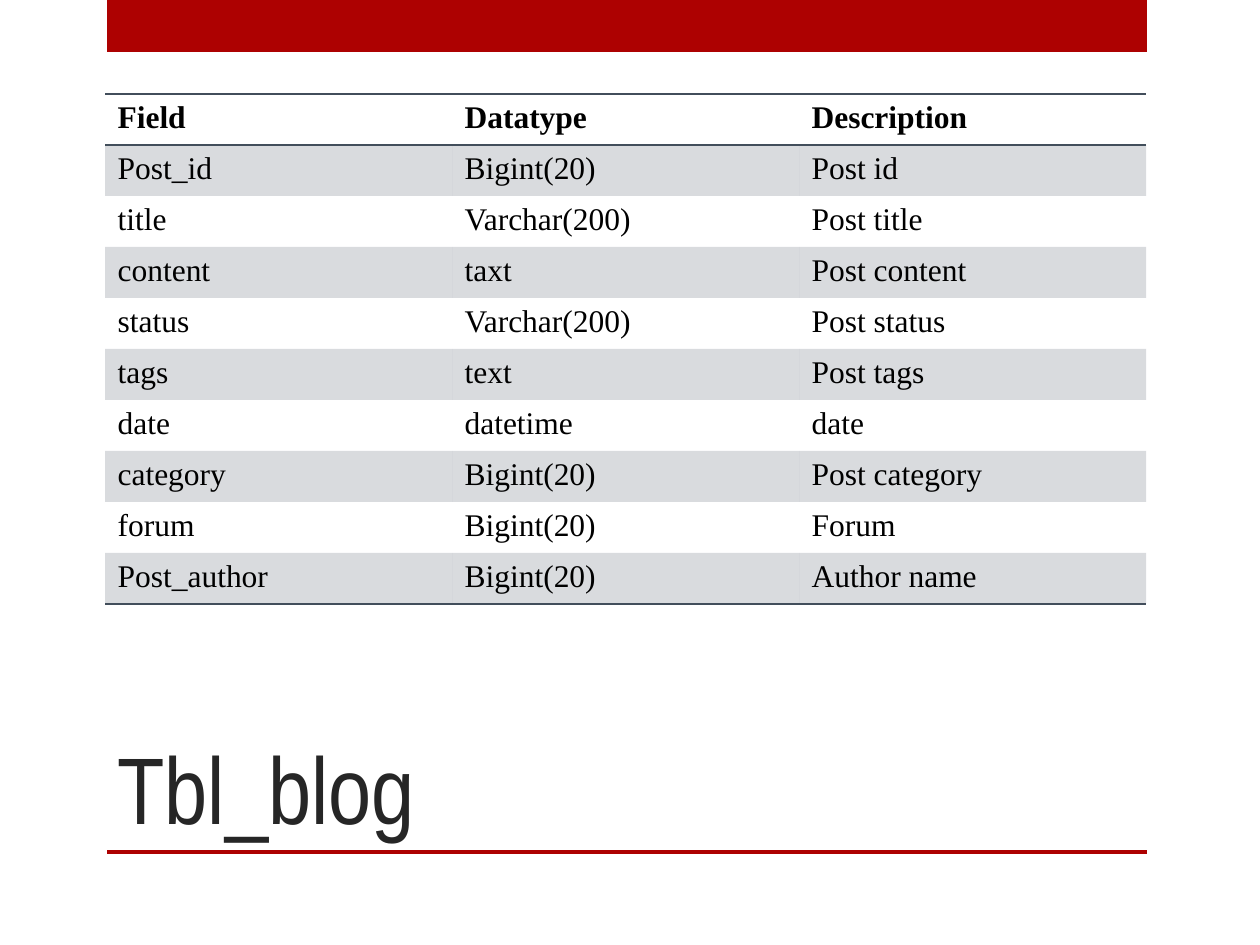
from dataclasses import dataclass

from lxml.etree import SubElement
from pptx import Presentation
from pptx.dml.color import RGBColor
from pptx.enum.shapes import MSO_SHAPE
from pptx.enum.text import MSO_ANCHOR, MSO_AUTO_SIZE, PP_ALIGN
from pptx.oxml.ns import qn
from pptx.slide import Slide
from pptx.table import _Cell
from pptx.text.text import Font
from pptx.util import Emu, Pt

PX_PER_INCH = 126
COLORS = {"accent": "AD0101", "title": "262626", "text": "000000", "slate": "424E5B"}
NO_STYLE_NO_GRID = "{2D5ABB26-0587-4C30-8999-92F81FD0307C}"
BAND_ALPHA = 20
COLUMN_WIDTH = 347
ROW_HEIGHT = 51


@dataclass(frozen=True)
class Box:
    left: int
    top: int
    width: int
    height: int

    def emu(self) -> tuple[Emu, ...]:
        return tuple(px(v) for v in (self.left, self.top, self.width, self.height))


@dataclass(frozen=True)
class Field:
    name: str
    datatype: str
    description: str


BARS = [Box(107, 0, 1040, 52), Box(107, 850, 1040, 4)]
TITLE_BOX = Box(105, 630, 935, 220)
HEADER = Field("Field", "Datatype", "Description")
FIELDS = [
    Field("Post_id", "Bigint(20)", "Post id"),
    Field("title", "Varchar(200)", "Post title"),
    Field("content", "taxt", "Post content"),
    Field("status", "Varchar(200)", "Post status"),
    Field("tags", "text", "Post tags"),
    Field("date", "datetime", "date"),
    Field("category", "Bigint(20)", "Post category"),
    Field("forum", "Bigint(20)", "Forum"),
    Field("Post_author", "Bigint(20)", "Author name"),
]


def px(value: int) -> Emu:
    return Emu(round(value * 914400 / PX_PER_INCH))


def rgb(name: str) -> RGBColor:
    return RGBColor.from_string(COLORS[name])


def style_font(font: Font, face: str, size: int, color: str, bold: bool = False) -> None:
    font.name = face
    font.size = Pt(size)
    font.bold = bold
    font.color.rgb = rgb(color)


def draw_bar(slide: Slide, box: Box) -> None:
    bar = slide.shapes.add_shape(MSO_SHAPE.RECTANGLE, *box.emu())
    bar.shadow.inherit = False
    bar.fill.solid()
    bar.fill.fore_color.rgb = rgb("accent")
    bar.line.fill.background()


def draw_title(slide: Slide, wording: str) -> None:
    title = slide.shapes.title
    title.left, title.top, title.width, title.height = TITLE_BOX.emu()
    frame = title.text_frame
    frame.text = wording
    frame.auto_size = MSO_AUTO_SIZE.NONE
    frame.vertical_anchor = MSO_ANCHOR.BOTTOM
    frame.paragraphs[0].alignment = PP_ALIGN.LEFT
    style_font(frame.paragraphs[0].runs[0].font, "Arial Narrow", 54, "title")


def add_border(cell: _Cell, side: str) -> None:
    line = SubElement(cell._tc.get_or_add_tcPr(), qn(f"a:{side}"), w=str(Pt(1)))
    fill = SubElement(line, qn("a:solidFill"))
    SubElement(fill, qn("a:srgbClr"), val=COLORS["slate"])


def fill_band(cell: _Cell) -> None:
    cell.fill.solid()
    cell.fill.fore_color.rgb = rgb("slate")
    color = cell._tc.tcPr.find(f"{qn('a:solidFill')}/{qn('a:srgbClr')}")
    SubElement(color, qn("a:alpha"), val=str(BAND_ALPHA * 1000))


def draw_fields(slide: Slide, rows: list[Field]) -> None:
    box = Box(105, 94, 3 * COLUMN_WIDTH, ROW_HEIGHT * len(rows))
    table = slide.shapes.add_table(len(rows), 3, *box.emu()).table
    table.first_row = table.horz_banding = False
    table._tbl.tblPr.find(qn("a:tableStyleId")).text = NO_STYLE_NO_GRID
    last = len(rows) - 1
    for index, field in enumerate(rows):
        wordings = (field.name, field.datatype, field.description)
        for cell, wording in zip(table.rows[index].cells, wordings):
            cell.text_frame.text = wording
            font = cell.text_frame.paragraphs[0].runs[0].font
            style_font(font, "Times New Roman", 18, "text", bold=index == 0)
            if index == 0:
                add_border(cell, "lnT")
            if index in (0, last):
                add_border(cell, "lnB")
            if index % 2:
                fill_band(cell)
            else:
                cell.fill.background()


def main() -> None:
    deck = Presentation()
    deck.slide_width, deck.slide_height = px(1260), px(945)
    slide = deck.slides.add_slide(deck.slide_layouts[5])
    for bar in BARS:
        draw_bar(slide, bar)
    draw_title(slide, "Tbl_blog")
    draw_fields(slide, [HEADER, *FIELDS])
    deck.save("out.pptx")


if __name__ == "__main__":
    main()
